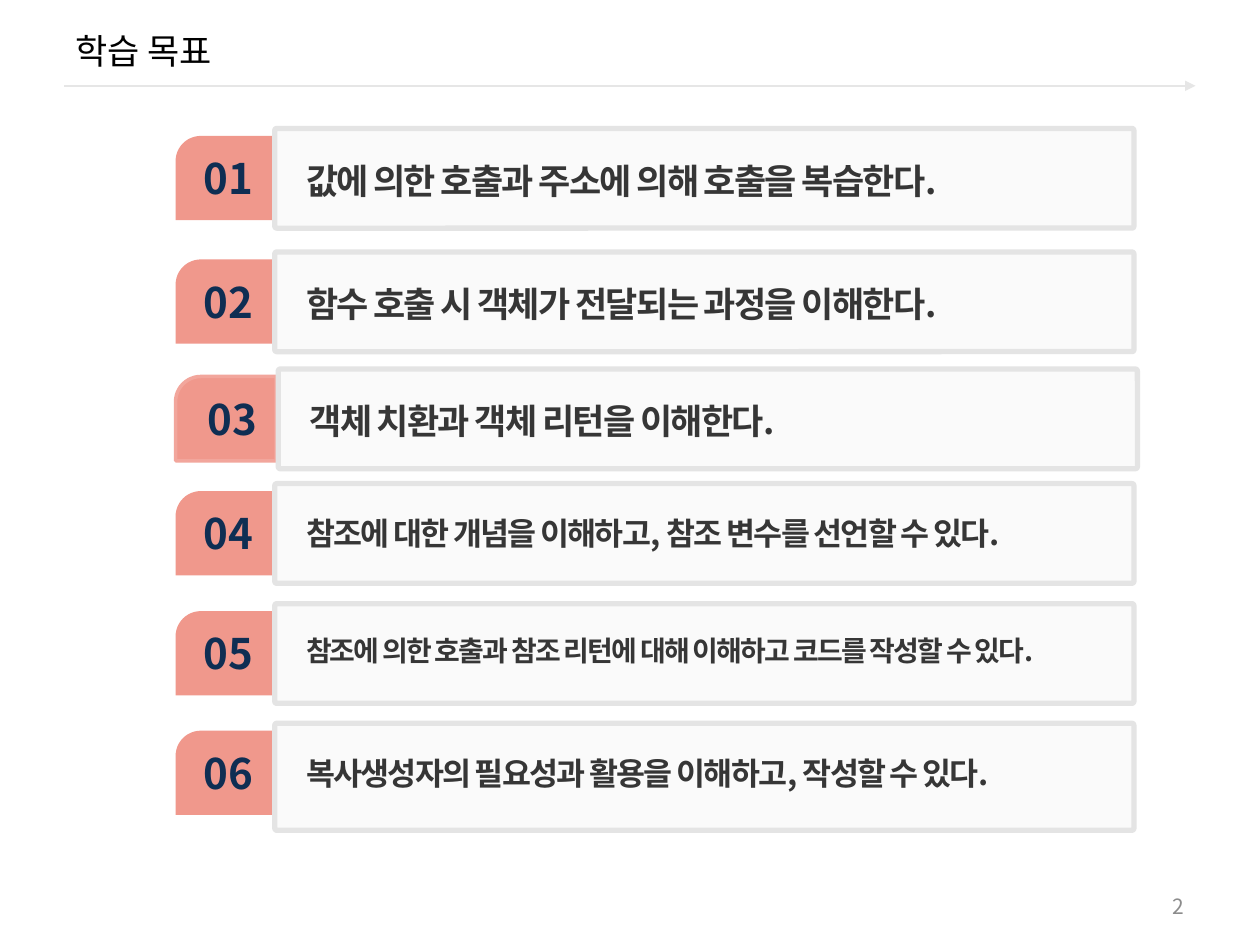
from lxml.etree import SubElement
from pptx import Presentation
from pptx.dml.color import RGBColor
from pptx.enum.shapes import MSO_CONNECTOR, MSO_SHAPE
from pptx.enum.text import MSO_ANCHOR, PP_ALIGN
from pptx.oxml.ns import qn
from pptx.util import Cm, Pt

FONT = "Noto Sans CJK KR"


def color(hex_value):
    return RGBColor.from_string(hex_value)


def add_text(left, top, width, height, text, size, hex_value,
             bold=False, align=PP_ALIGN.LEFT, anchor=MSO_ANCHOR.TOP, wrap=True):
    box = page.shapes.add_textbox(Cm(left), Cm(top), Cm(width), Cm(height))
    frame = box.text_frame
    frame.word_wrap = wrap
    frame.vertical_anchor = anchor
    frame.text = text
    para = frame.paragraphs[0]
    para.alignment = align
    span = para.runs[0]
    span.font.name = FONT
    span.font.size = Pt(size)
    span.font.bold = bold
    span.font.color.rgb = color(hex_value)
    SubElement(span.font._element, qn("a:ea"), typeface=FONT)
    return para


deck = Presentation()
deck.slide_width, deck.slide_height = Cm(25.4), Cm(19.05)
page = deck.slides.add_slide(deck.slide_layouts[6])

# Title with the arrow below it
arrow = page.shapes.add_connector(
    MSO_CONNECTOR.STRAIGHT, Cm(1.3), Cm(1.73), Cm(24.1), Cm(1.73))
arrow.line.color.rgb = color("E6E6E6")
arrow.line.width = Pt(1.5)
SubElement(arrow.line._get_or_add_ln(), qn("a:tailEnd"), type="triangle")
SubElement(arrow._element.spPr, qn("a:effectLst"))
add_text(1.27, 0.2, 22.86, 1.63, "학습 목표", 20, "000000", anchor=MSO_ANCHOR.MIDDLE)

# Learning goals: panel left, top and height, text size, wording
goals = [
    (5.54, 2.59, 2.01, 20, "값에 의한 호출과 주소에 의해 호출을 복습한다."),
    (5.54, 5.08, 2.01, 20, "함수 호출 시 객체가 전달되는 과정을 이해한다."),
    (5.61, 7.44, 2.01, 20, "객체 치환과 객체 리턴을 이해한다."),
    (5.54, 9.75, 2.01, 18, "참조에 대한 개념을 이해하고, 참조 변수를 선언할 수 있다."),
    (5.54, 12.17, 2.01, 16, "참조에 의한 호출과 참조 리턴에 대해 이해하고 코드를 작성할 수 있다."),
    (5.54, 14.58, 2.16, 18, "복사생성자의 필요성과 활용을 이해하고, 작성할 수 있다."),
]
for number, (left, top, height, size, wording) in enumerate(goals, start=1):
    # Number tab
    tab = page.shapes.add_shape(
        MSO_SHAPE.SNIP_ROUND_RECTANGLE, Cm(3.54), Cm(top + 0.15), Cm(2.03), Cm(1.7))
    tab.adjustments[0], tab.adjustments[1] = 0.3, 0
    tab.shadow.inherit = False
    tab.fill.solid()
    tab.fill.fore_color.rgb = color("F0988C")
    if number == 3:
        tab.line.color.rgb = color("F2A69C")
        tab.line.width = Pt(2)
    else:
        tab.line.fill.background()
    add_text(left - 1.68, top + 0.36, 1.5, 1.27, f"{number:02}", 24, "0F2E53",
             bold=True, align=PP_ALIGN.CENTER, wrap=False)

    # Panel with a translucent fill
    panel = page.shapes.add_shape(
        MSO_SHAPE.ROUNDED_RECTANGLE, Cm(left), Cm(top), Cm(17.32), Cm(height))
    panel.adjustments[0] = 0.02
    panel.shadow.inherit = False
    panel.fill.solid()
    panel.fill.fore_color.rgb = color("F2F2F2")
    fill_color = panel._element.spPr.find(qn("a:solidFill"))[0]
    SubElement(fill_color, qn("a:alpha"), val="33000")
    panel.line.color.rgb = color("E4E4E4")
    panel.line.width = Pt(3)

    # Wording of the goal
    para = add_text(left + 0.38, top + 0.41, 17, 1.1, wording, size, "363636", bold=True)
    para.line_spacing = 1.1
    para.runs[0].font._element.set("spc", "-100")

# Page number
add_text(18.21, 17.86, 5.92, 0.81, "2", 12, "8C8C8C",
         align=PP_ALIGN.RIGHT, anchor=MSO_ANCHOR.MIDDLE)

deck.save("out.pptx")
